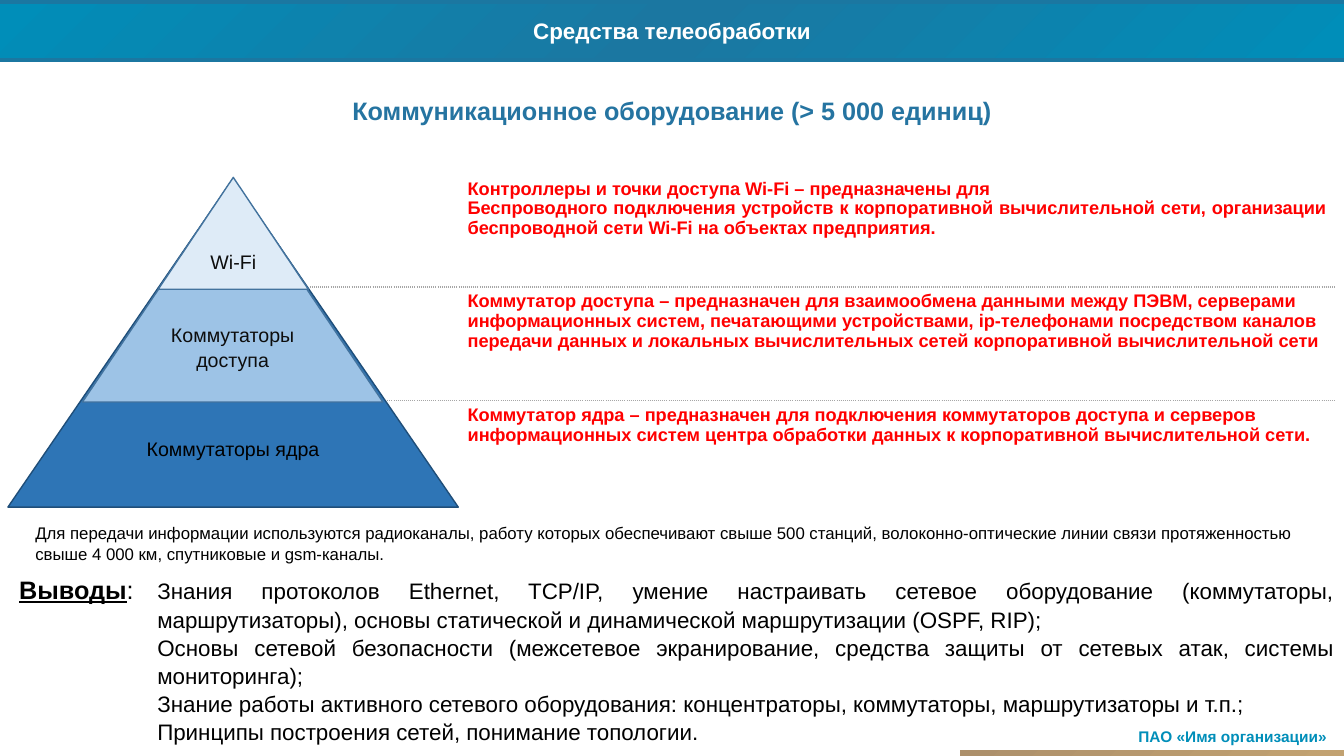
from copy import deepcopy
from dataclasses import dataclass

from lxml.etree import SubElement
from pptx import Presentation
from pptx.dml.color import RGBColor as Rgb
from pptx.enum.shapes import MSO_CONNECTOR as Connector, MSO_SHAPE as Shape
from pptx.enum.text import MSO_ANCHOR as Anchor, MSO_AUTO_SIZE as AutoSize, PP_ALIGN as Align
from pptx.oxml import parse_xml
from pptx.oxml.ns import nsdecls, qn
from pptx.util import Cm, Pt


@dataclass(frozen=True)
class Theme:
    font: str = "Arial"
    white: str = "FFFFFF"
    black: str = "000000"
    ink: str = "0D0D0D"
    bright: str = "008EB9"
    deep: str = "1B77A1"
    heading: str = "2574A1"
    sand: str = "AD906B"
    gold: str = "C2A271"
    alert: str = "FF0000"
    rule: str = "A6A6A6"
    core: str = "2E75B6"
    core_edge: str = "1F4E79"
    access: str = "9DC3E6"
    wifi: str = "DEEBF7"
    tier_edge: str = "43739E"
    heading_size: float = 18
    title_size: float = 16
    tier_size: float = 14
    role_size: float = 13
    note_size: float = 12
    owner_size: float = 11


THEME = Theme()
WIDTH, HEIGHT = 33.87, 19.05
NO_STYLE = "{2D5ABB26-0587-4C30-8999-92F81FD0307C}"

ROLES = [
    [("Контроллеры и точки доступа Wi-Fi – предназначены для", Align.LEFT),
     ("Беспроводного подключения устройств к корпоративной вычислительной сети, "
      "организации беспроводной сети Wi-Fi на объектах предприятия.", Align.JUSTIFY)],
    [("Коммутатор доступа – предназначен для взаимообмена данными между ПЭВМ, серверами "
      "информационных систем, печатающими устройствами, ip-телефонами посредством каналов "
      "передачи данных и локальных вычислительных сетей корпоративной вычислительной сети",
      Align.LEFT)],
    [("Коммутатор ядра – предназначен для подключения коммутаторов доступа и серверов "
      "информационных систем центра обработки данных к корпоративной вычислительной сети.",
      Align.LEFT)],
]
ROLE_HEIGHTS = [2.84, 2.87, 2.92]

TIERS = [
    ("Коммутаторы ядра", (0.2, 4.5, 11.35, 8.28), THEME.core, THEME.core_edge, THEME.black, 1.27),
    ("Коммутаторы доступа", (2.08, 4.52, 7.57, 5.61), THEME.access, THEME.tier_edge, THEME.ink, 0.13),
    ("Wi-Fi", (3.99, 4.47, 3.78, 2.82), THEME.wifi, THEME.tier_edge, THEME.ink, 0.13),
]

SKILLS = [
    "Знания протоколов Ethernet, TCP/IP, умение настраивать сетевое оборудование "
    "(коммутаторы, маршрутизаторы), основы статической и динамической маршрутизации (OSPF, RIP);",
    "Основы сетевой безопасности (межсетевое экранирование, средства защиты от сетевых атак, "
    "системы мониторинга);",
    "Знание работы активного сетевого оборудования: концентраторы, коммутаторы, "
    "маршрутизаторы и т.п.;",
    "Принципы построения сетей, понимание топологии.",
]


def write(paragraph, text, *, size, color, bold=False, underline=False,
          align=Align.LEFT, indent=0, hanging=0, spacing=1.0):
    paragraph.alignment = align
    paragraph.line_spacing = spacing
    paragraph.space_before = Pt(0)
    properties = paragraph._p.get_or_add_pPr()
    properties.set("marL", str(Cm(indent)))
    properties.set("indent", str(-Cm(hanging)))
    if properties.find(qn("a:buNone")) is None:
        SubElement(properties, qn("a:buNone"))
    run = paragraph.add_run()
    run.text = text
    run.font.name = THEME.font
    run.font.size = Pt(size)
    run.font.bold = bold
    run.font.underline = underline
    run.font.color.rgb = Rgb.from_string(color)


def next_paragraph(frame, index):
    return frame.paragraphs[0] if index == 0 else frame.add_paragraph()


def place(holder, left, top, width, height):
    holder.left, holder.top = Cm(left), Cm(top)
    holder.width, holder.height = Cm(width), Cm(height)
    holder.text_frame.auto_size = AutoSize.NONE
    holder.text_frame.word_wrap = True
    holder.text_frame.vertical_anchor = Anchor.MIDDLE


def paint_gradient(fill, stops):
    fill.gradient()
    fill.gradient_angle = 315
    stop_list = fill._xPr.find(qn("a:gradFill")).find(qn("a:gsLst"))
    while len(stop_list) < len(stops):
        stop_list.append(deepcopy(stop_list[0]))
    for stop, (position, color) in zip(fill.gradient_stops, stops):
        stop.position = position
        stop.color.rgb = Rgb.from_string(color)


def add_label(slide, box, text, **text_format):
    label = slide.shapes.add_textbox(*map(Cm, box))
    label.text_frame.word_wrap = True
    write(label.text_frame.paragraphs[0], text, **text_format)


def add_edge(slide, y):
    edge = slide.shapes.add_connector(Connector.STRAIGHT, 0, Cm(y), Cm(WIDTH), Cm(y))
    edge.line.color.rgb = Rgb.from_string(THEME.deep)
    edge.line.width = Pt(3)
    SubElement(edge._element.spPr, qn("a:effectLst"))


def add_header(slide):
    title = slide.shapes.title
    place(title, 0, 0.05, WIDTH, 1.42)
    paint_gradient(title.fill, [(0, THEME.bright), (0.5, THEME.deep), (1, THEME.bright)])
    write(title.text_frame.paragraphs[0], "Средства телеобработки", size=THEME.title_size,
          color=THEME.white, bold=True, align=Align.CENTER)
    for y in (1.52, 0.05):
        add_edge(slide, y)


def add_footer(slide):
    add_label(slide, (28.27, 18.21, 5.59, 0.74), "ПАО «Имя организации»", size=THEME.owner_size,
              color=THEME.bright, bold=True, align=Align.CENTER)
    strip = slide.shapes.add_shape(Shape.RECTANGLE, Cm(24.2), Cm(18.9), Cm(9.67), Cm(0.15))
    strip.shadow.inherit = False
    paint_gradient(strip.fill, [(0, THEME.sand), (1, THEME.gold)])
    strip.line.fill.background()


def add_dotted_border(cell, side):
    cell._tc.get_or_add_tcPr().append(parse_xml(
        f'<a:{side} {nsdecls("a")} w="{Pt(1)}"><a:solidFill><a:srgbClr val="{THEME.rule}"/>'
        f'</a:solidFill><a:prstDash val="sysDot"/></a:{side}>'))


def add_roles(slide):
    frame = slide.shapes.add_table(len(ROLES), 1, Cm(6.53), Cm(4.39), Cm(27.13),
                                   Cm(sum(ROLE_HEIGHTS)))
    roles = frame.table
    roles.first_row = roles.horz_banding = False
    roles._tbl.tblPr.find(qn("a:tableStyleId")).text = NO_STYLE
    for index, (paragraphs, height) in enumerate(zip(ROLES, ROLE_HEIGHTS)):
        roles.rows[index].height = Cm(height)
        cell = roles.cell(index, 0)
        if index > 0:
            add_dotted_border(cell, "lnT")
        if index < len(ROLES) - 1:
            add_dotted_border(cell, "lnB")
        cell.fill.background()
        for position, (text, align) in enumerate(paragraphs):
            write(next_paragraph(cell.text_frame, position), text, size=THEME.role_size,
                  color=THEME.alert, bold=True, align=align, indent=5, spacing=0.97)


def add_tier(slide, text, box, color, edge, ink, top_inset):
    tier = slide.shapes.add_shape(Shape.ISOSCELES_TRIANGLE, *map(Cm, box))
    tier.shadow.inherit = False
    tier.fill.solid()
    tier.fill.fore_color.rgb = Rgb.from_string(color)
    tier.line.color.rgb = Rgb.from_string(edge)
    tier.line.width = Pt(1)
    tier.text_frame.word_wrap = True
    tier.text_frame.vertical_anchor = Anchor.MIDDLE
    tier.text_frame.margin_top = Cm(top_inset)
    write(tier.text_frame.paragraphs[0], text, size=THEME.tier_size, color=ink,
          align=Align.CENTER, spacing=1.05)


def add_conclusions(slide):
    body = slide.placeholders[1]
    place(body, 0.23, 14.38, 33.65, 4.45)
    layout = dict(color=THEME.black, align=Align.JUSTIFY, indent=3.48, spacing=1.05)
    for index, skill in enumerate(SKILLS):
        paragraph = next_paragraph(body.text_frame, index)
        hanging = 0
        if index == 0:
            hanging = layout["indent"]
            write(paragraph, "Выводы", size=THEME.heading_size, bold=True, underline=True, **layout)
            write(paragraph, ":\t", size=THEME.heading_size, **layout)
        write(paragraph, skill, size=THEME.title_size, hanging=hanging, **layout)


def main():
    deck = Presentation()
    deck.slide_width, deck.slide_height = Cm(WIDTH), Cm(HEIGHT)
    slide = deck.slides.add_slide(deck.slide_layouts[1])
    add_header(slide)
    add_footer(slide)
    add_label(slide, (0, 2.29, WIDTH, 1.02), "Коммуникационное оборудование (> 5 000 единиц)",
              size=THEME.heading_size, color=THEME.heading, bold=True, align=Align.CENTER)
    add_roles(slide)
    for tier in TIERS:
        add_tier(slide, *tier)
    add_label(slide, (0.64, 13.06, 33.22, 1.27),
              "Для передачи информации используются радиоканалы, работу которых обеспечивают свыше "
              "500 станций, волоконно-оптические линии связи протяженностью свыше 4 000 км, "
              "спутниковые и gsm-каналы.", size=THEME.note_size, color=THEME.black)
    add_conclusions(slide)
    deck.save("out.pptx")


if __name__ == "__main__":
    main()
